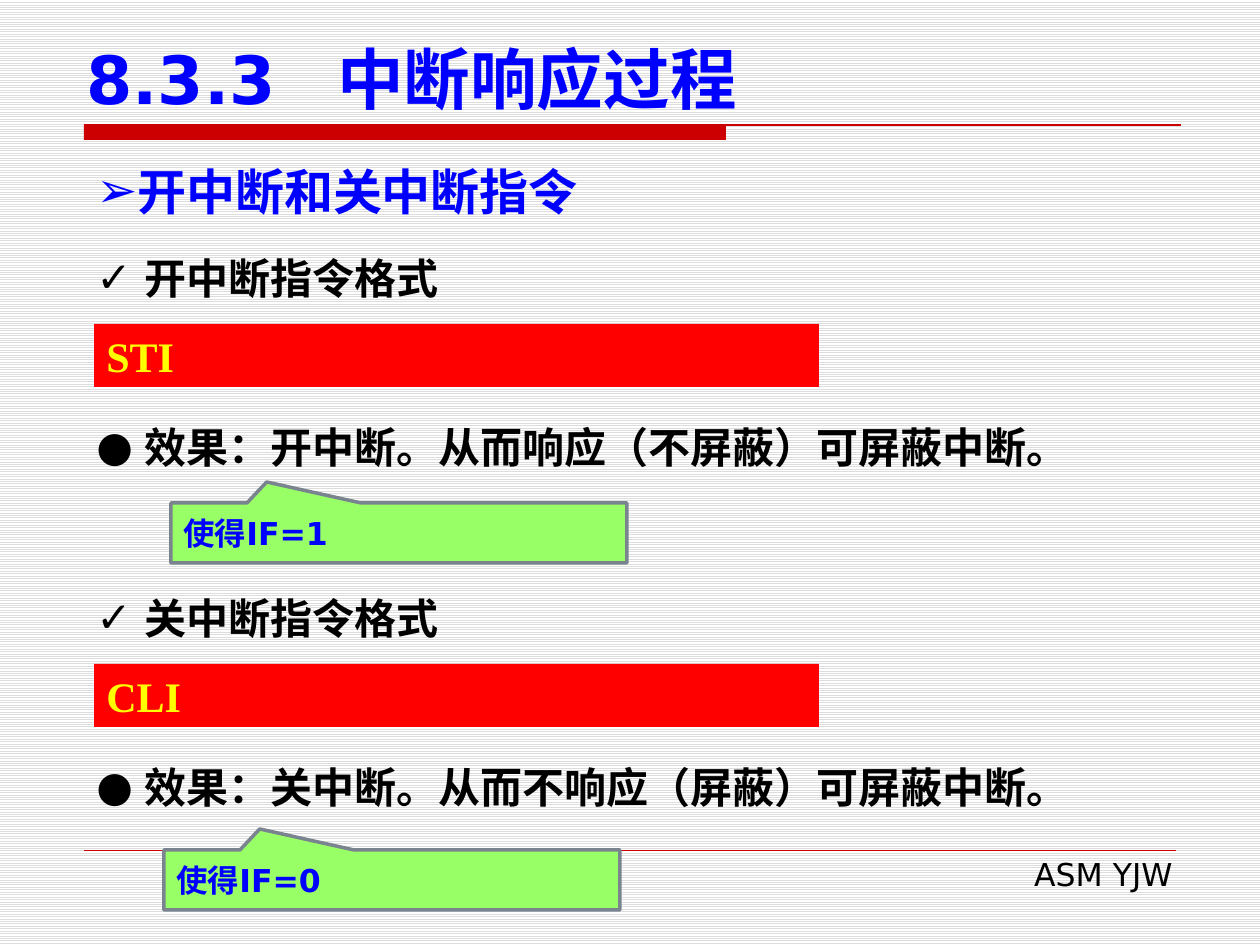
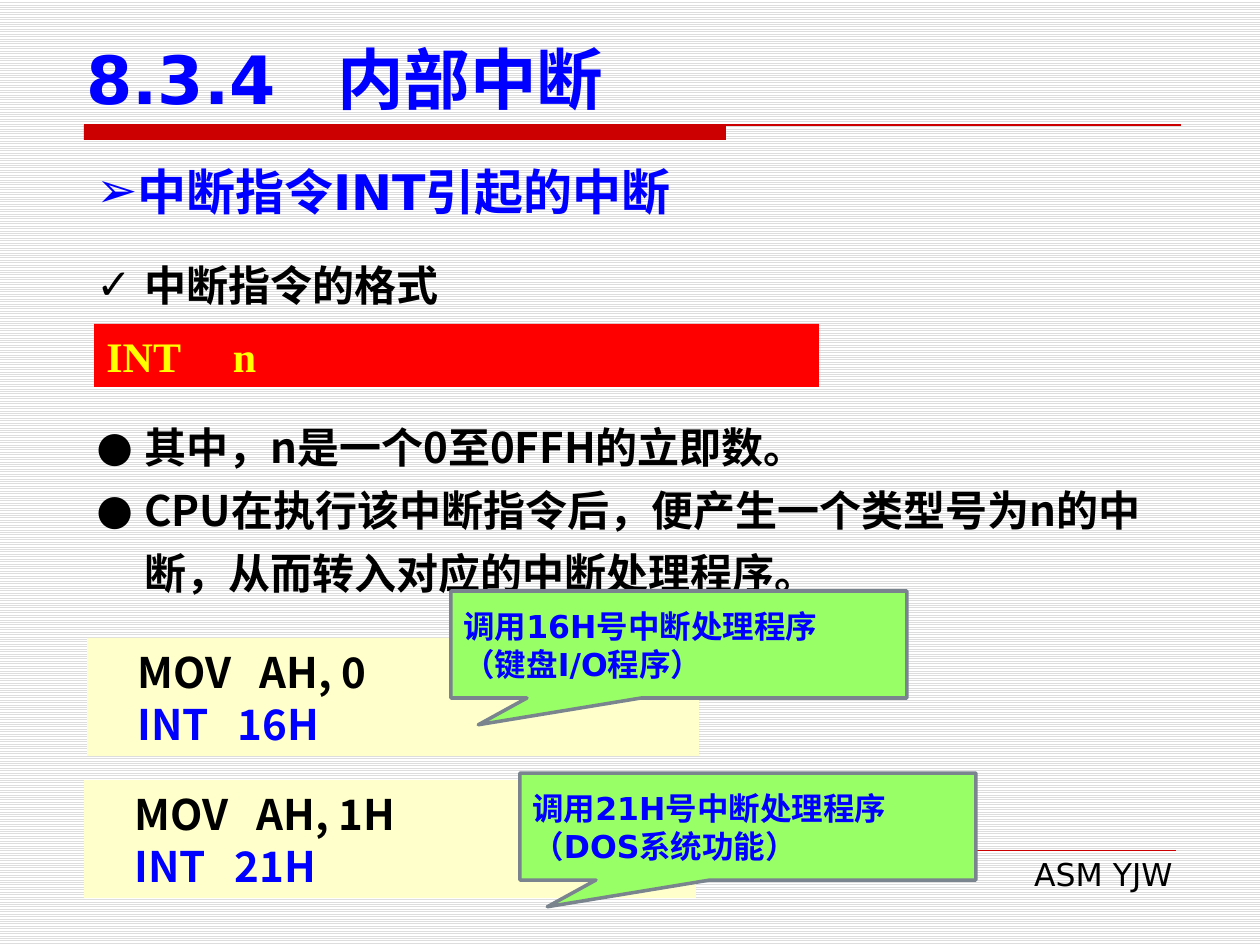
from lxml.etree import SubElement
from pptx import Presentation
from pptx.dml.color import RGBColor
from pptx.enum.dml import MSO_PATTERN
from pptx.enum.shapes import MSO_CONNECTOR, MSO_SHAPE
from pptx.enum.text import MSO_ANCHOR, PP_ALIGN
from pptx.oxml.ns import qn
from pptx.util import Emu, Pt

EMU_PER_PX = 914400 / 126


def px(n):
    return Emu(round(n * EMU_PER_PX))


def rgb(value):
    return RGBColor.from_string(value)


class Deck:
    SANS = "DejaVu Sans"
    CJK = "Noto Sans CJK SC"
    SERIF = "Times New Roman"
    BLUE, BLACK, YELLOW = "0000FF", "000000", "FFFF00"
    RULE, BAR, CODE = "CC0000", "FF0000", "FFFFCC"
    CALLOUT, EDGE = "99FF66", "79848F"
    LEFT, WIDTH = 84, 1091

    def __init__(self):
        self.prs = Presentation()
        self.prs.slide_width, self.prs.slide_height = px(1260), px(945)
        self.s = None

    def add_slide(self, title, heading):
        self.s = self.prs.slides.add_slide(self.prs.slide_layouts[6])
        fill = self.s.background.fill
        fill.patterned()
        fill.pattern = MSO_PATTERN.LIGHT_HORIZONTAL
        fill.fore_color.rgb = rgb("DDDDDD")
        fill.back_color.rgb = rgb("FFFFFF")
        self.shape(MSO_SHAPE.RECTANGLE, self.LEFT, 125, 642, 15, self.RULE)
        self.line(self.LEFT, 1181, 125, 0.75)
        self.line(self.LEFT, 1176, 850, 0.25)
        footer = self.text("ASM YJW", 481, 849, 704, 50, 18, self.SANS, self.BLACK, bold=False)
        footer.paragraphs[0].alignment = PP_ALIGN.RIGHT
        self.title(title)
        self.heading(heading)

    def line(self, x1, x2, y, weight):
        c = self.s.shapes.add_connector(MSO_CONNECTOR.STRAIGHT, px(x1), px(y), px(x2), px(y))
        c.line.color.rgb = rgb(self.RULE)
        c.line.width = Pt(weight)
        SubElement(c._element.spPr, qn("a:effectLst"))

    def shape(self, kind, x, y, w, h, fill, edge=None):
        sp = self.s.shapes.add_shape(kind, px(x), px(y), px(w), px(h))
        sp.shadow.inherit = False
        sp.fill.solid()
        sp.fill.fore_color.rgb = rgb(fill)
        if edge:
            sp.line.color.rgb = rgb(edge)
            sp.line.width = Pt(2)
        else:
            sp.line.fill.background()
        return sp

    def fill_text(self, tf, text, size, font, colours, bold=True, anchor=MSO_ANCHOR.TOP):
        tf.text = text
        tf.word_wrap = True
        tf.vertical_anchor = anchor
        for i, p in enumerate(tf.paragraphs):
            p.alignment = PP_ALIGN.LEFT
            for r in p.runs:
                r.font.size = Pt(size)
                r.font.bold = bold
                r.font.name = font
                r.font.color.rgb = rgb(colours[min(i, len(colours) - 1)])
                SubElement(r._r.get_or_add_rPr(), qn("a:ea"), typeface=font)

    def text(self, text, x, y, w, h, size, font, colour, **options):
        tf = self.s.shapes.add_textbox(px(x), px(y), px(w), px(h)).text_frame
        self.fill_text(tf, text, size, font, [colour], **options)
        return tf

    def bullet(self, p, char, indent=0):
        pPr = p._p.get_or_add_pPr()
        pPr.set("marL", str(px(indent)))
        pPr.set("indent", str(-px(indent)))
        SubElement(pPr, qn("a:buFont"), typeface=self.SANS)
        SubElement(pPr, qn("a:buChar"), char=char)

    def title(self, text):
        tf = self.text(text, 74, 35, 1142, 89, 38, self.SANS, self.BLUE, anchor=MSO_ANCHOR.BOTTOM)
        tabs = SubElement(tf.paragraphs[0]._p.get_or_add_pPr(), qn("a:tabLst"))
        SubElement(tabs, qn("a:tab"), pos=str(px(251)), algn="l")

    def heading(self, text):
        tf = self.text(text, self.LEFT, 155, self.WIDTH, 72, 28, self.SANS, self.BLUE)
        p = tf.paragraphs[0]
        self.bullet(p, "➢")
        p.alignment = PP_ALIGN.JUSTIFY

    def points(self, text, y, char="●", h=77):
        tf = self.text(text, self.LEFT, y, self.WIDTH, h, 24, self.CJK, self.BLACK)
        for p in tf.paragraphs:
            self.bullet(p, char, 48)
            p.line_spacing = Pt(36)

    def instruction(self, text, y):
        sp = self.shape(MSO_SHAPE.RECTANGLE, 94, y, 725, 63, self.BAR)
        self.fill_text(sp.text_frame, text, 24, self.SERIF, [self.YELLOW])

    def code(self, text, x, y):
        sp = self.shape(MSO_SHAPE.RECTANGLE, x, y, 612, 118, self.CODE)
        self.fill_text(sp.text_frame, text, 24, self.CJK, [self.BLACK, self.BLUE])
        for p in sp.text_frame.paragraphs:
            p.line_spacing = Pt(30)

    def callout(self, text, x, y, h, tip):
        sp = self.shape(MSO_SHAPE.RECTANGULAR_CALLOUT, x, y, 456, h, self.CALLOUT, self.EDGE)
        sp.adjustments[0], sp.adjustments[1] = tip
        self.fill_text(sp.text_frame, text, 18, self.SANS, [self.BLUE], anchor=MSO_ANCHOR.MIDDLE)


def response_slide(deck):
    deck.add_slide("8.3.3\t中断响应过程", "开中断和关中断指令")
    sections = [
        ("开中断指令格式", "STI", "效果：开中断。从而响应（不屏蔽）可屏蔽中断。"),
        ("关中断指令格式", "CLI", "效果：关中断。从而不响应（屏蔽）可屏蔽中断。"),
    ]
    for i, (name, instruction, effect) in enumerate(sections):
        top = 234 + 340 * i
        deck.points(name, top, "✓")
        deck.instruction(instruction, top + 90)
        deck.points(effect, top + 169)
    for text, x, y in [("使得IF=1", 171, 503), ("使得IF=0", 164, 850)]:
        deck.callout(text, x, y, 60, (-0.29, -0.85))


def internal_slide(deck):
    deck.add_slide("8.3.4\t内部中断", "中断指令INT引起的中断")
    deck.points("中断指令的格式", 241, "✓")
    deck.instruction("INT     n", 324)
    deck.points(
        "其中，n是一个0至0FFH的立即数。\n"
        "CPU在执行该中断指令后，便产生一个类型号为n的中断，从而转入对应的中断处理程序。",
        403, h=204)
    calls = [
        ("    MOV   AH, 0\n    INT   16H", 87, 638,
         "调用16H号中断处理程序\n（键盘I/O程序）", 451, 591),
        ("    MOV   AH, 1H\n    INT   21H", 84, 780,
         "调用21H号中断处理程序\n（DOS系统功能）", 520, 773),
    ]
    for code, x, y, note, note_x, note_y in calls:
        deck.code(code, x, y)
        deck.callout(note, note_x, note_y, 107, (-0.44, 0.75))


def main():
    deck = Deck()
    response_slide(deck)
    internal_slide(deck)
    deck.prs.save("out.pptx")


if __name__ == "__main__":
    main()
